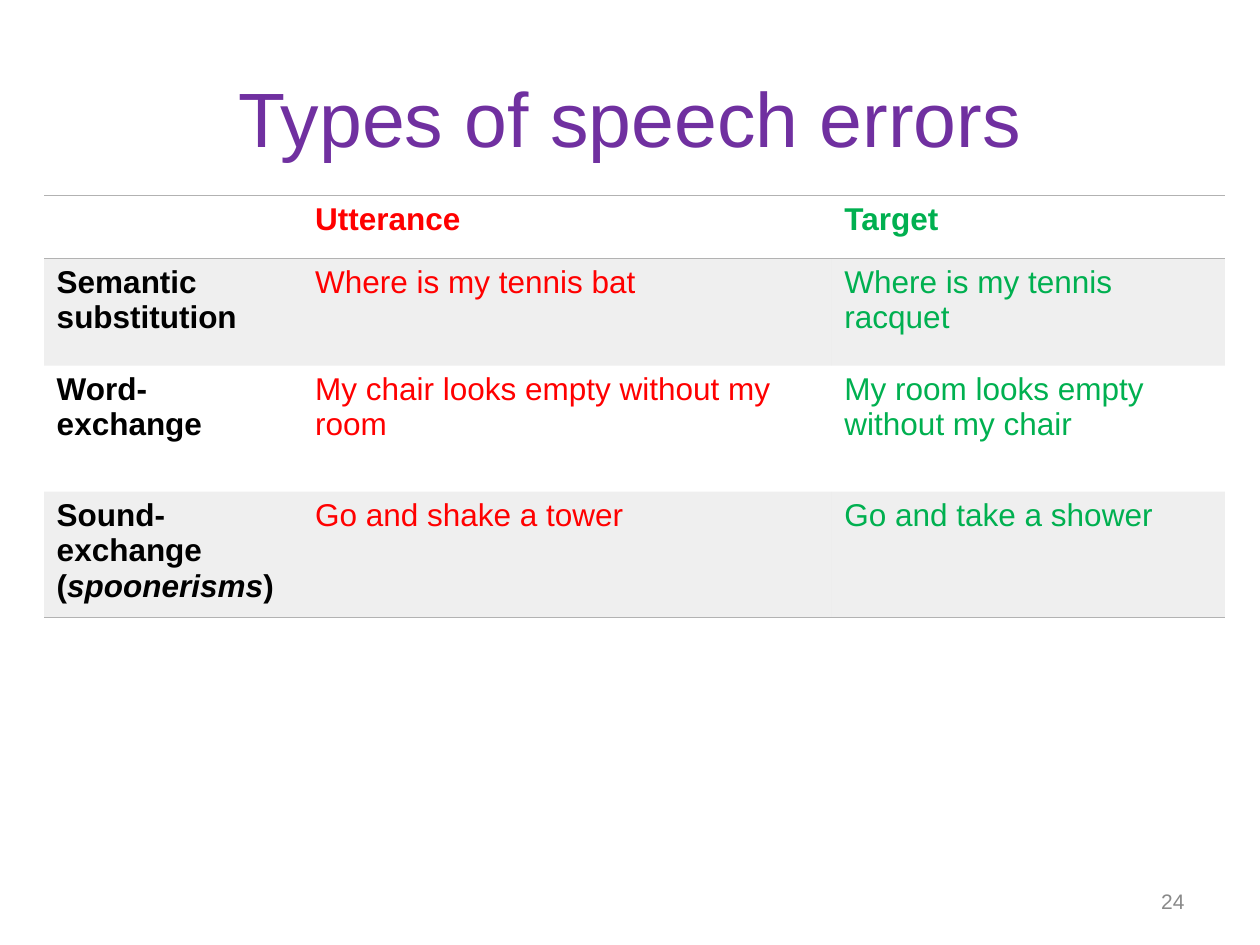
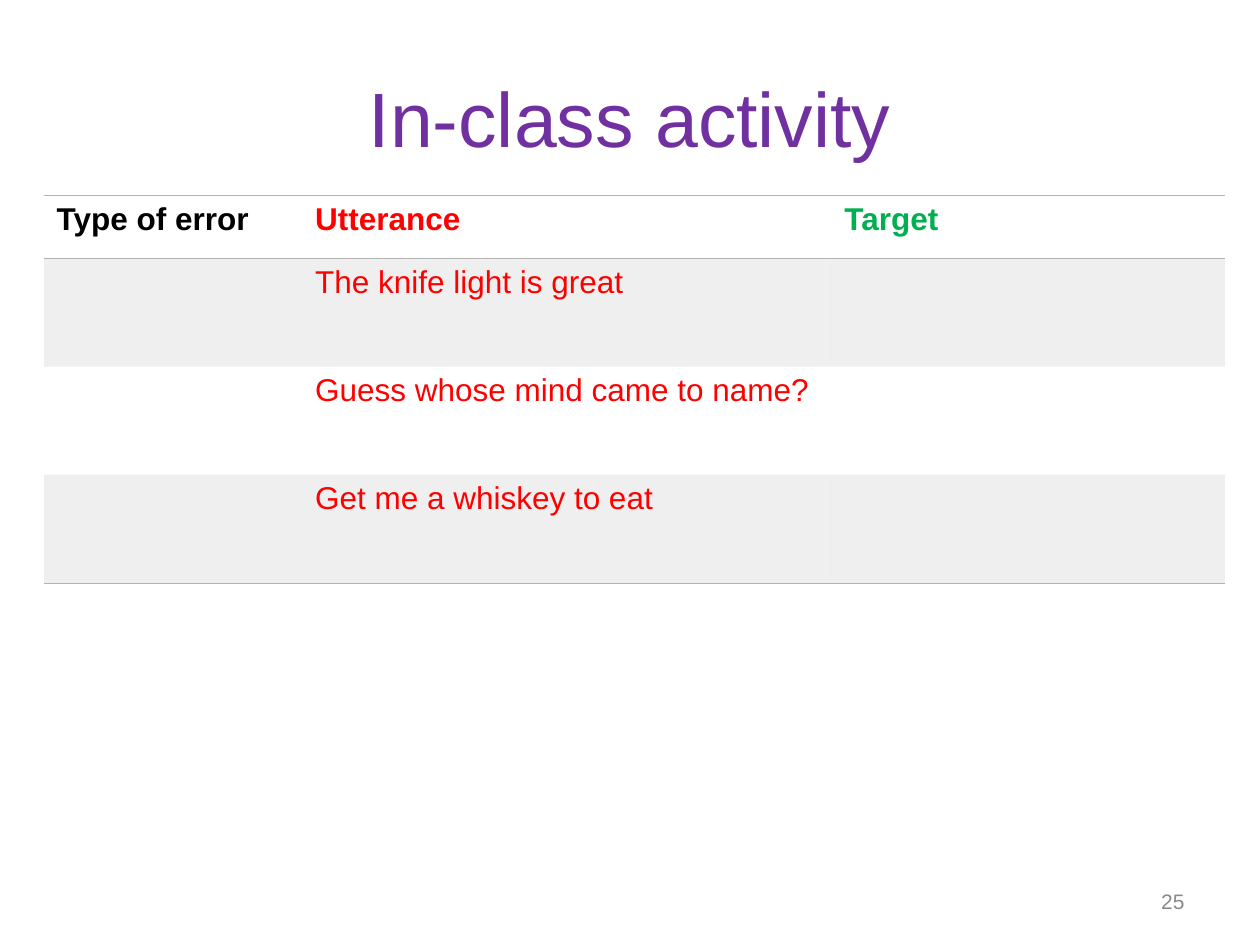
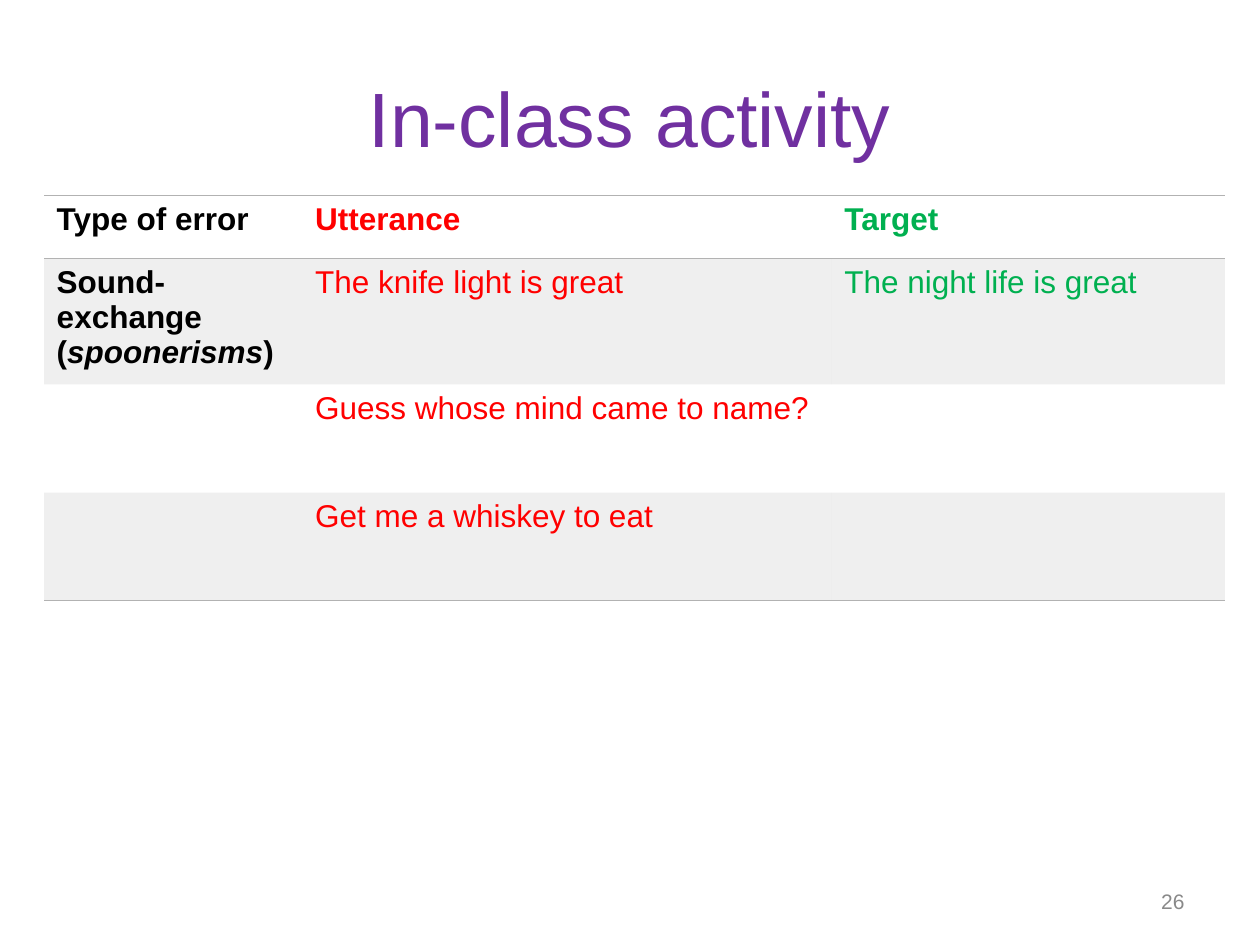
from lxml.etree import SubElement
from pptx import Presentation
from pptx.dml.color import RGBColor as Rgb
from pptx.enum.text import MSO_ANCHOR as Anchor, PP_ALIGN as Align
from pptx.oxml import parse_xml
from pptx.oxml.ns import nsdecls, qn
from pptx.util import Cm, Pt

COLOURS = {
    "title": "7030A0",
    "category": "000000",
    "utterance": "FF0000",
    "target": "00B050",
    "rule": "B2B2B2",
    "band": "B2B2B2",
    "number": "898989",
}
COLUMNS = [("category", 5.21), ("utterance", 10.67), ("target", 7.92)]
HEADER_HEIGHT = 1.27
FIRST_NUMBER = 24
BAND_OPACITY = 20000
RULE_WIDTH = Pt(0.45)

SPOONERISM = "Sound-exchange\n(*spoonerisms*)"
KNIFE = "The knife light is great"
ACTIVITY_HEADER = ("Type of error", "Utterance", "Target")
OPEN_ROWS = [
    ("", "Guess whose mind came to name?", ""),
    ("", "Get me a whiskey to eat", ""),
]
SLIDES = [
    {
        "title": "Types of speech errors",
        "rows": [
            ("", "Utterance", "Target"),
            ("Semantic substitution", "Where is my tennis bat", "Where is my tennis racquet"),
            ("Word-exchange", "My chair looks empty without my room",
             "My room looks empty without my chair"),
            (SPOONERISM, "Go and shake a tower", "Go and take a shower"),
        ],
        "heights": [2.16, 2.54, 2.54],
    },
    {
        "title": "In-class activity",
        "rows": [ACTIVITY_HEADER, ("", KNIFE, "")] + OPEN_ROWS,
        "heights": [2.18, 2.18, 2.18],
    },
    {
        "title": "In-class activity",
        "rows": [ACTIVITY_HEADER, (SPOONERISM, KNIFE, "The night life is great")] + OPEN_ROWS,
        "heights": [2.54, 2.18, 2.18],
    },
]
TITLE = {"box": (1.27, 0.76, 22.86, 3.18), "align": Align.CENTER, "size": 44, "role": "title"}
NUMBER = {"box": (18.21, 17.65, 5.92, 1.02), "align": Align.RIGHT, "size": 12, "role": "number"}


def apply(target, values):
    for attribute, value in values.items():
        setattr(target, attribute, value)


def write(frame, text, role, size, align=Align.LEFT, bold=False):
    for index, line in enumerate(text.split("\n")):
        paragraph = frame.paragraphs[0] if index == 0 else frame.add_paragraph()
        paragraph.alignment = align
        for part, words in enumerate(line.split("*")):
            if words:
                run = paragraph.add_run()
                run.text = words
                apply(run.font, {"name": "Arial", "size": Pt(size),
                                 "bold": bold, "italic": part % 2 == 1})
                run.font.color.rgb = Rgb.from_string(COLOURS[role])


def add_label(slide, text, style):
    frame = slide.shapes.add_textbox(*map(Cm, style["box"])).text_frame
    apply(frame, {"word_wrap": True, "vertical_anchor": Anchor.MIDDLE})
    write(frame, text, style["role"], style["size"], style["align"])


def shade(cell, banded):
    if not banded:
        cell.fill.background()
        return
    cell.fill.solid()
    cell.fill.fore_color.rgb = Rgb.from_string(COLOURS["band"])
    band = cell._tc.tcPr.find(".//" + qn("a:srgbClr"))
    SubElement(band, qn("a:alpha"), val=str(BAND_OPACITY))


def rule(cell, ruled_sides):
    for index, side in enumerate("LRTB"):
        paint = "<a:noFill/>"
        if side in ruled_sides:
            paint = f'<a:solidFill><a:srgbClr val="{COLOURS["rule"]}"/></a:solidFill>'
        border = f'<a:ln{side} {nsdecls("a")} w="{RULE_WIDTH}">{paint}</a:ln{side}>'
        cell._tc.tcPr.insert(index, parse_xml(border))


def add_errors(slide, rows, heights):
    heights = [HEADER_HEIGHT] + heights
    last = len(rows) - 1
    width = sum(column_width for _, column_width in COLUMNS)
    errors = slide.shapes.add_table(len(rows), len(COLUMNS), Cm(0.89), Cm(3.94),
                                    Cm(width), Cm(sum(heights))).table
    apply(errors, {"first_row": False, "horz_banding": False})
    for column, (_, column_width) in zip(errors.columns, COLUMNS):
        column.width = Cm(column_width)
    for r, (texts, height) in enumerate(zip(rows, heights)):
        errors.rows[r].height = Cm(height)
        ruled_sides = ("T" if r < 2 else "") + ("B" if r in (0, last) else "")
        for c, (text, (role, _)) in enumerate(zip(texts, COLUMNS)):
            cell = errors.cell(r, c)
            write(cell.text_frame, text, role, 18, bold=r == 0 or c == 0)
            shade(cell, r % 2 == 1)
            rule(cell, ruled_sides)


def main():
    deck = Presentation()
    apply(deck, {"slide_width": Cm(25.4), "slide_height": Cm(19.05)})
    for number, content in enumerate(SLIDES, FIRST_NUMBER):
        slide = deck.slides.add_slide(deck.slide_layouts[6])
        add_label(slide, content["title"], TITLE)
        add_errors(slide, content["rows"], content["heights"])
        add_label(slide, str(number), NUMBER)
    deck.save("out.pptx")


if __name__ == "__main__":
    main()
